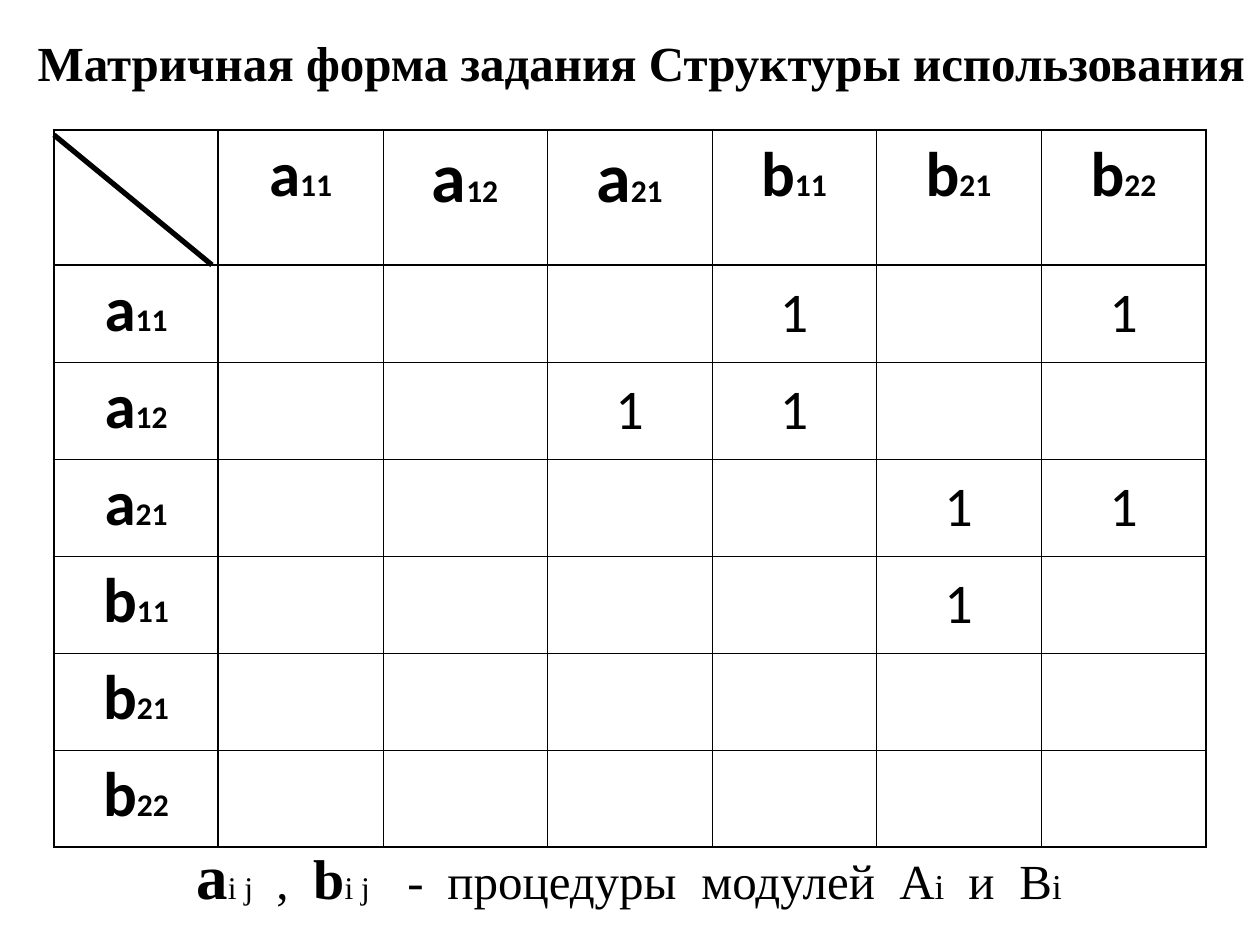
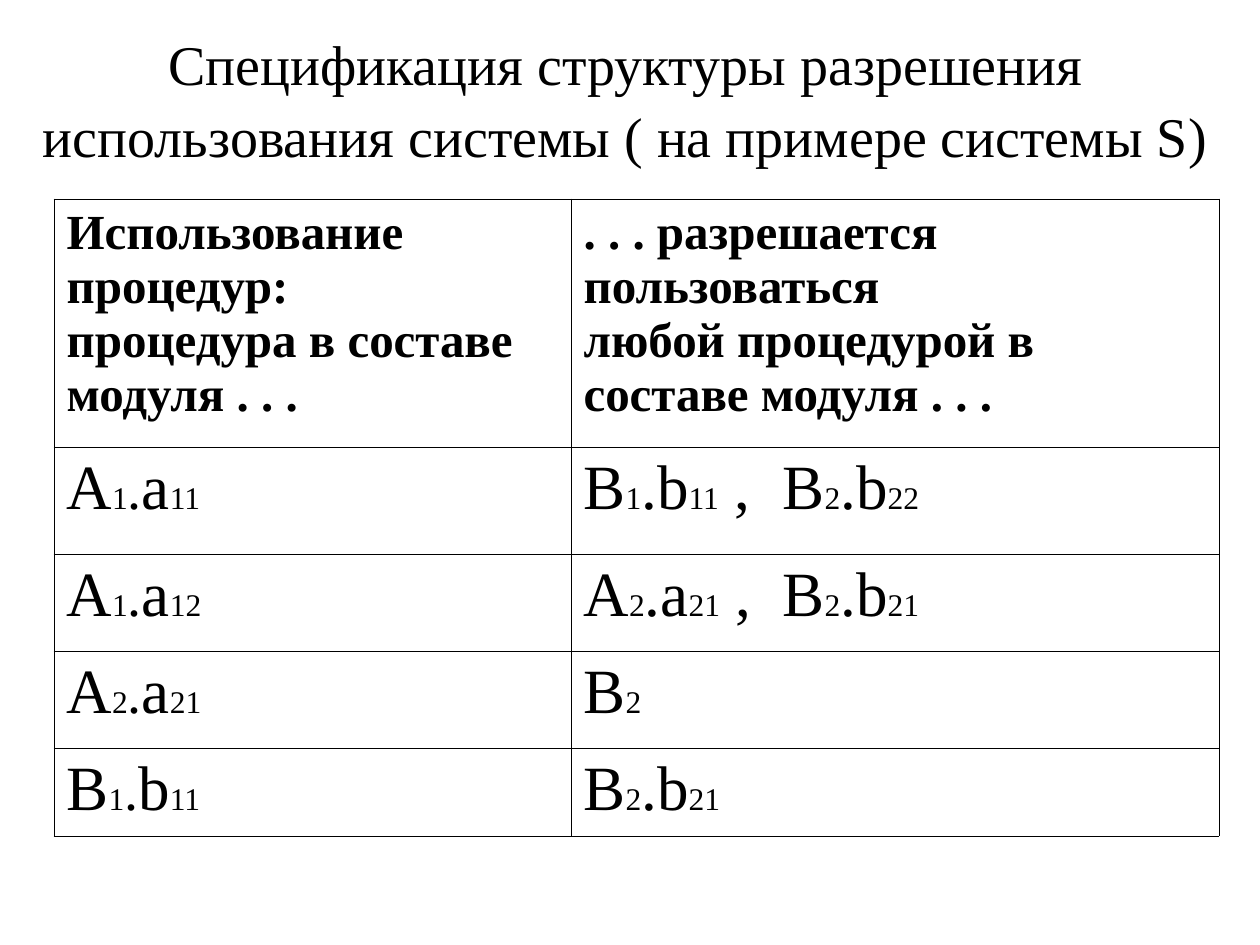
from dataclasses import dataclass
from itertools import groupby

from lxml.etree import SubElement as Sub
from pptx import Presentation
from pptx.dml.color import RGBColor as Rgb
from pptx.enum.shapes import MSO_CONNECTOR as Conn
from pptx.enum.text import MSO_ANCHOR as Anchor, MSO_AUTO_SIZE as Fit, PP_ALIGN as Align
from pptx.oxml.ns import qn
from pptx.util import Pt

SCALE = 914400 / 126


@dataclass(frozen=True)
class Theme:
    ink: Rgb = Rgb(0, 0, 0)
    paper: Rgb = Rgb(255, 255, 255)
    sans: str = "Calibri"
    serif: str = "Times New Roman"
    thin: float = 0.45
    thick: float = 1.47
    slash: float = 3
    sub: int = 18
    index: int = 20
    head: int = 28
    dot: int = 32
    mark: int = 32
    title: int = 32
    sign: int = 36
    large: int = 40


T = Theme()

NAMES = ["a11", "a12", "a21", "b11", "b21", "b22"]
LARGE = {"a12", "a21"}
USES = {("a11", "b11"), ("a11", "b22"), ("a12", "a21"), ("a12", "b11"),
        ("a21", "b21"), ("a21", "b22"), ("b11", "b21")}
HEADS = [["Использование процедур:", "процедура в составе", "модуля . . ."],
         [". . . разрешается пользоваться", "любой процедурой в составе модуля . . ."]]
RULES = [("A1.a11", "B1.b11 ,\tB2.b22"),
         ("A1.a12", "A2.a21 ,\tB2.b21"),
         ("A2.a21", "B2"),
         ("B1.b11", "B2.b21")]


def px(n):
    return round(n * SCALE)


# Text helpers
def style(par, face, size=None, bold=None, align=Align.LEFT, stops=()):
    par.alignment = align
    if stops:
        tabs = Sub(par._p.get_or_add_pPr(), qn("a:tabLst"))
        for stop in stops:
            Sub(tabs, qn("a:tab"), pos=str(px(stop)), algn="l")
    font = par.font
    font.name, font.bold = face, bold
    font.color.rgb = T.ink
    if size:
        font.size = Pt(size)


def add_run(par, text, size, bold=None):
    run = par.add_run()
    run.text = text
    run.font.size = Pt(size)
    if bold is not None:
        run.font.bold = bold


def add_sign(par, text, size=T.sign, dot=T.sign):
    """Write letters at full size and their digits small."""
    def pick(char):
        return T.sub if char.isdigit() else dot if char == "." else size

    for points, chars in groupby(text, pick):
        add_run(par, "".join(chars), points)


def add_title(page, text, box, size, bold, align, anchor, pitch=None):
    title = page.shapes.title
    title.left, title.top, title.width, title.height = map(px, box)
    frame = title.text_frame
    frame.auto_size, frame.word_wrap = Fit.NONE, True
    frame.vertical_anchor = anchor
    frame.text = text
    par = frame.paragraphs[0]
    style(par, T.serif, size, bold, align)
    if pitch:
        par.line_spacing = pitch


# Table helpers
def add_edge(cell, side, width):
    line = Sub(cell._tc.get_or_add_tcPr(), qn("a:ln" + side), w=str(Pt(width)))
    Sub(Sub(line, qn("a:solidFill")), qn("a:srgbClr"), val=str(T.ink))


def add_grid(page, left, top, cols, rows, heavy=()):
    """Draw a white grid; heavy holds the numbers of its thick rules."""
    table = page.shapes.add_table(len(rows), len(cols), px(left), px(top),
                                  px(sum(cols)), px(sum(rows))).table
    table.first_row = table.horz_banding = False
    for col, width in zip(table.columns, cols):
        col.width = px(width)
    for row, height in zip(table.rows, rows):
        row.height = px(height)
    for r in range(len(rows)):
        for c in range(len(cols)):
            cell = table.cell(r, c)
            for side, rule in (("L", c), ("R", c + 1), ("T", r), ("B", r + 1)):
                add_edge(cell, side, T.thick if rule in heavy else T.thin)
            cell.fill.solid()
            cell.fill.fore_color.rgb = T.paper
    return table


# Matrix of use
def add_matrix(page, left, top, width):
    count = len(NAMES) + 1
    edges = [width * i // count for i in range(count + 1)]
    cols = [b - a for a, b in zip(edges, edges[1:])]
    head = 135
    table = add_grid(page, left, top, cols, [head] + [97] * len(NAMES),
                     heavy=(0, 1, count))
    for i, name in enumerate(NAMES, 1):
        size = T.large if name in LARGE else T.sign
        for cell, points in ((table.cell(0, i), size), (table.cell(i, 0), T.sign)):
            par = cell.text_frame.paragraphs[0]
            style(par, T.sans, bold=True, align=Align.CENTER)
            add_sign(par, name, points)
    for user, used in USES:
        cell = table.cell(NAMES.index(user) + 1, NAMES.index(used) + 1)
        cell.text = "1"
        cell.vertical_anchor = Anchor.MIDDLE
        style(cell.text_frame.paragraphs[0], T.sans, T.mark, False, Align.CENTER)

    # Corner slash
    slash = page.shapes.add_connector(Conn.STRAIGHT, px(left), px(top + 5),
                                      px(left + cols[0] - 6), px(top + head))
    slash.line.color.rgb = T.ink
    slash.line.width = Pt(T.slash)
    Sub(slash._element.spPr, qn("a:effectLst"))


def add_note(page, left, top, width, height):
    frame = page.shapes.add_textbox(*map(px, (left, top, width, height))).text_frame
    frame.word_wrap = True
    par = frame.paragraphs[0]
    style(par, T.serif, stops=(80, 117, 211, 251, 505, 703, 772, 823))
    for text, size, bold in (("a", T.sign, True), ("i j", T.sub, False),
                             ("\t,\t", T.head, False), ("b", T.mark, True),
                             ("i j", T.sub, False),
                             ("\t-\tпроцедуры\tмодулей\tА", T.head, False),
                             ("i", T.index, False), ("\tи\tB", T.head, False),
                             ("i", T.index, False)):
        add_run(par, text, size, bold)


# Table of allowed use
def add_rules(page, left, top):
    table = add_grid(page, left, top, [517, 648], [248, 107, 97, 97, 88])
    for c, lines in enumerate(HEADS):
        frame = table.cell(0, c).text_frame
        frame.text = "\n".join(lines)
        for par in frame.paragraphs:
            style(par, T.serif, T.head, True)
    for r, pair in enumerate(RULES, 1):
        for c, text in enumerate(pair):
            par = table.cell(r, c).text_frame.paragraphs[0]
            style(par, T.serif, bold=False, stops=(199,) if "\t" in text else ())
            add_sign(par, text, dot=T.sign if c else T.dot)


# Slides
def matrix_page(page):
    add_title(page, "Матричная форма задания Структуры использования",
              (25, 26, 1235, 131), T.head, True, Align.LEFT, Anchor.TOP)
    add_matrix(page, 54, 130, 1152)
    add_note(page, 184, 830, 914, 88)


def rules_page(page):
    add_title(page, "Спецификация структуры разрешения использования системы "
              "( на примере системы S)", (25, 38, 1201, 117), T.title, False,
              Align.CENTER, Anchor.MIDDLE, 1.08)
    add_rules(page, 54, 199)


def main():
    deck = Presentation()
    deck.slide_width, deck.slide_height = px(1260), px(945)
    for build in (matrix_page, rules_page):
        build(deck.slides.add_slide(deck.slide_layouts[5]))
    deck.save("out.pptx")


if __name__ == "__main__":
    main()
